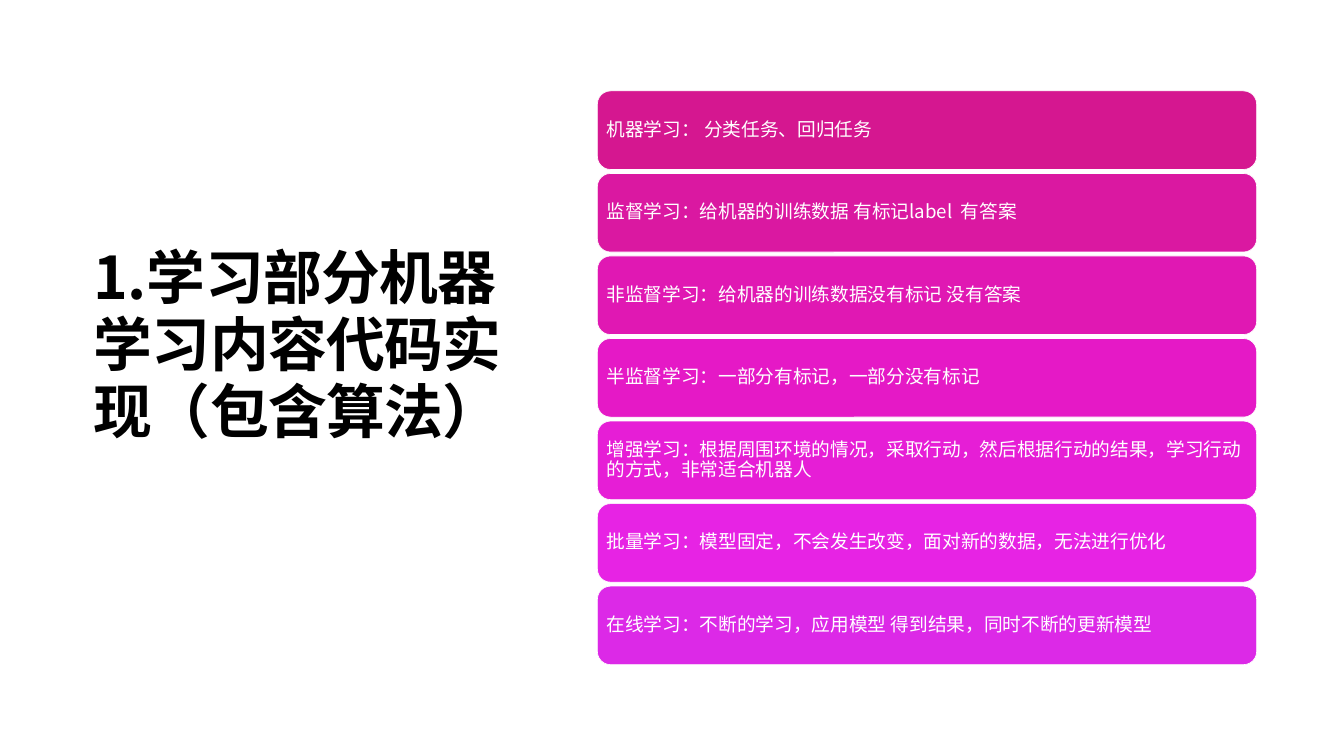
from lxml import etree
from pptx import Presentation
from pptx import util as u
from pptx.dml.color import RGBColor
from pptx.enum import shapes, text
from pptx.oxml.ns import qn

BLACK = RGBColor(0x00, 0x00, 0x00)
WHITE = RGBColor(0xFF, 0xFF, 0xFF)

TITLE = "1.学习部分机器学习内容代码实现（包含算法）"
LEARNING_TYPES = [
    ("机器学习： 分类任务、回归任务", RGBColor(0xD5, 0x17, 0x90)),
    ("监督学习：给机器的训练数据 有标记label  有答案", RGBColor(0xDA, 0x18, 0xA1)),
    ("非监督学习：给机器的训练数据没有标记 没有答案", RGBColor(0xE0, 0x18, 0xB3)),
    ("半监督学习：一部分有标记，一部分没有标记", RGBColor(0xE5, 0x19, 0xC6)),
    ("增强学习：根据周围环境的情况，采取行动，然后根据行动的结果，学习行动的方式，非常适合机器人",
     RGBColor(0xE6, 0x1E, 0xD6)),
    ("批量学习：模型固定，不会发生改变，面对新的数据，无法进行优化", RGBColor(0xE7, 0x23, 0xE4)),
    ("在线学习：不断的学习，应用模型 得到结果，同时不断的更新模型", RGBColor(0xDC, 0x29, 0xE7)),
]


class SlideBuilder:
    """Places elements by percentages of the slide's width and height."""

    font_name = "Noto Sans CJK SC"
    title_size, card_size = 94.5, 30

    def __init__(self, presentation):
        self.width = presentation.slide_width
        self.height = presentation.slide_height
        self.slide = presentation.slides.add_slide(presentation.slide_layouts[6])
        background = self.slide.background.fill
        background.solid()
        background.fore_color.rgb = WHITE

    def box(self, left, top, width, height):
        return (round(self.width * left / 100), round(self.height * top / 100),
                round(self.width * width / 100), round(self.height * height / 100))

    def set_text(self, shape, words, size, color, insets, line_spacing, bold=False):
        """Fill the shape with one left-aligned paragraph and return its run."""
        frame = shape.text_frame
        frame.word_wrap = True
        frame.vertical_anchor = text.MSO_ANCHOR.MIDDLE
        horizontal, vertical = (u.Inches(inset) for inset in insets)
        frame.margin_left = frame.margin_right = horizontal
        frame.margin_top = frame.margin_bottom = vertical
        paragraph = frame.paragraphs[0]
        paragraph.alignment = text.PP_ALIGN.LEFT
        paragraph.line_spacing = line_spacing
        run = paragraph.add_run()
        run.text = words
        run.font.size = u.Pt(size)
        run.font.bold = bold
        run.font.color.rgb = color
        run.font.name = self.font_name
        properties = run.font._element
        properties.set("lang", "zh-CN")
        etree.SubElement(properties, qn("a:ea")).set("typeface", self.font_name)
        return run

    def title(self, words, *area):
        shape = self.slide.shapes.add_textbox(*self.box(*area))
        run = self.set_text(shape, words, self.title_size, BLACK, (0.22, 0.11), 0.95, bold=True)
        run.font._element.set("spc", "-110")

    def card(self, words, color, *area):
        shape = self.slide.shapes.add_shape(
            shapes.MSO_SHAPE.ROUNDED_RECTANGLE, *self.box(*area))
        shape.shadow.inherit = False
        shape.fill.solid()
        shape.fill.fore_color.rgb = color
        shape.line.color.rgb = WHITE
        shape.line.width = u.Pt(1)
        self.set_text(shape, words, self.card_size, WHITE, (0.12, 0.12), 0.9)

    def card_stack(self, cards, left, top, width, height, gap):
        """Share the height equally among the cards, with equal gaps."""
        pitch = (height + gap) / len(cards)
        for row, (words, color) in enumerate(cards):
            self.card(words, color, left, top + row * pitch, width, pitch - gap)


def main():
    presentation = Presentation()
    presentation.slide_width = u.Inches(29.99)
    presentation.slide_height = u.Inches(16.88)
    builder = SlideBuilder(presentation)
    builder.title(TITLE, 6.24, 11.37, 32.08, 68.9)
    builder.card_stack(LEARNING_TYPES, 44.45, 12.03, 49.05, 75.89, gap=0.53)
    presentation.save("out.pptx")


if __name__ == "__main__":
    main()
